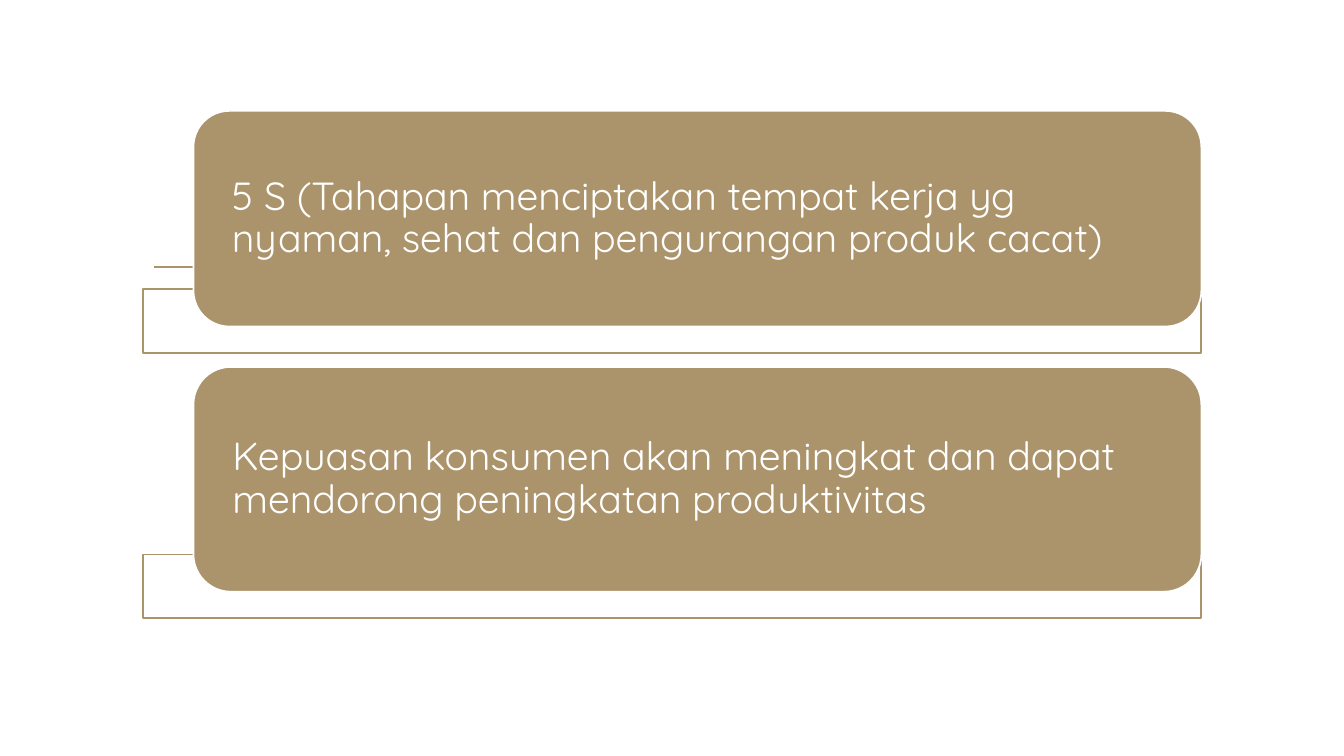
import pptx
import pptx.util
import pptx.dml.color
import pptx.enum.shapes
import pptx.enum.text
import pptx.oxml
import pptx.oxml.ns
import lxml.etree

Pt = pptx.util.Pt
RGB = pptx.dml.color.RGBColor
KIND = pptx.enum.shapes.MSO_SHAPE
TAN = RGB(0xAB, 0x94, 0x6B)
WHITE = RGB(0xFF, 0xFF, 0xFF)

CARDS = [
    ("5 S (Tahapan menciptakan tempat kerja yg nyaman, sehat dan pengurangan produk cacat)", 79.2, 154.1),
    ("Kepuasan konsumen akan meningkat dan dapat mendorong peningkatan produktivitas", 262.1, 160.6),
]
RULE = (110.2, 850.3, 190.8)
LEFT, WIDE = 102.2, 756
INDENT = 36
BAR_HIGH, LAP = 45.4, 26.6
EDGE = 1.25
FRAME = {
    "word_wrap": True,
    "vertical_anchor": pptx.enum.text.MSO_ANCHOR.MIDDLE,
    "margin_left": Pt(20),
    "margin_right": Pt(20),
    "margin_top": 0,
    "margin_bottom": 0,
}
PARA = {"alignment": pptx.enum.text.PP_ALIGN.LEFT, "line_spacing": 0.9}
FONT = {"name": "Quicksand", "size": Pt(28)}


def style(item, values):
    for key, value in values.items():
        setattr(item, key, value)


def tag(parent, name):
    return lxml.etree.SubElement(parent, pptx.oxml.ns.qn(name))


def add_box(slide, kind, place, fill, line):
    box = slide.shapes.add_shape(kind, *map(Pt, place))
    box.shadow.inherit = False
    box.fill.solid()
    box.fill.fore_color.rgb = fill
    box.line.color.rgb = line
    box.line.width = Pt(EDGE)
    return box


def add_rule(slide):
    start, end, level = map(Pt, RULE)
    rule = slide.shapes.add_connector(
        pptx.enum.shapes.MSO_CONNECTOR.STRAIGHT, start, level, end, level)
    rule.line.color.rgb = TAN
    rule.line.width = Pt(EDGE)
    tag(rule._element.spPr, "a:effectLst")


def add_card(slide, text, top, high):
    bar = add_box(slide, KIND.RECTANGLE,
                  (LEFT, top + high - LAP, WIDE, BAR_HIGH), WHITE, TAN)
    tint = bar._element.spPr.find(".//" + pptx.oxml.ns.qn("a:srgbClr"))
    tag(tint, "a:alpha").set("val", "90000")

    card = add_box(slide, KIND.ROUNDED_RECTANGLE,
                   (LEFT + INDENT, top, WIDE - INDENT, high), TAN, WHITE)
    frame = card.text_frame
    frame.text = text
    para = frame.paragraphs[0]
    font = para.runs[0].font
    style(frame, FRAME)
    style(para, PARA)
    style(font, FONT)
    font.color.rgb = WHITE


def main():
    deck = pptx.Presentation()
    style(deck, {"slide_width": Pt(960), "slide_height": Pt(540)})
    slide = deck.slides.add_slide(deck.slide_layouts[6])
    add_rule(slide)
    for card in CARDS:
        add_card(slide, *card)
    deck.save("out.pptx")


if __name__ == "__main__":
    main()
